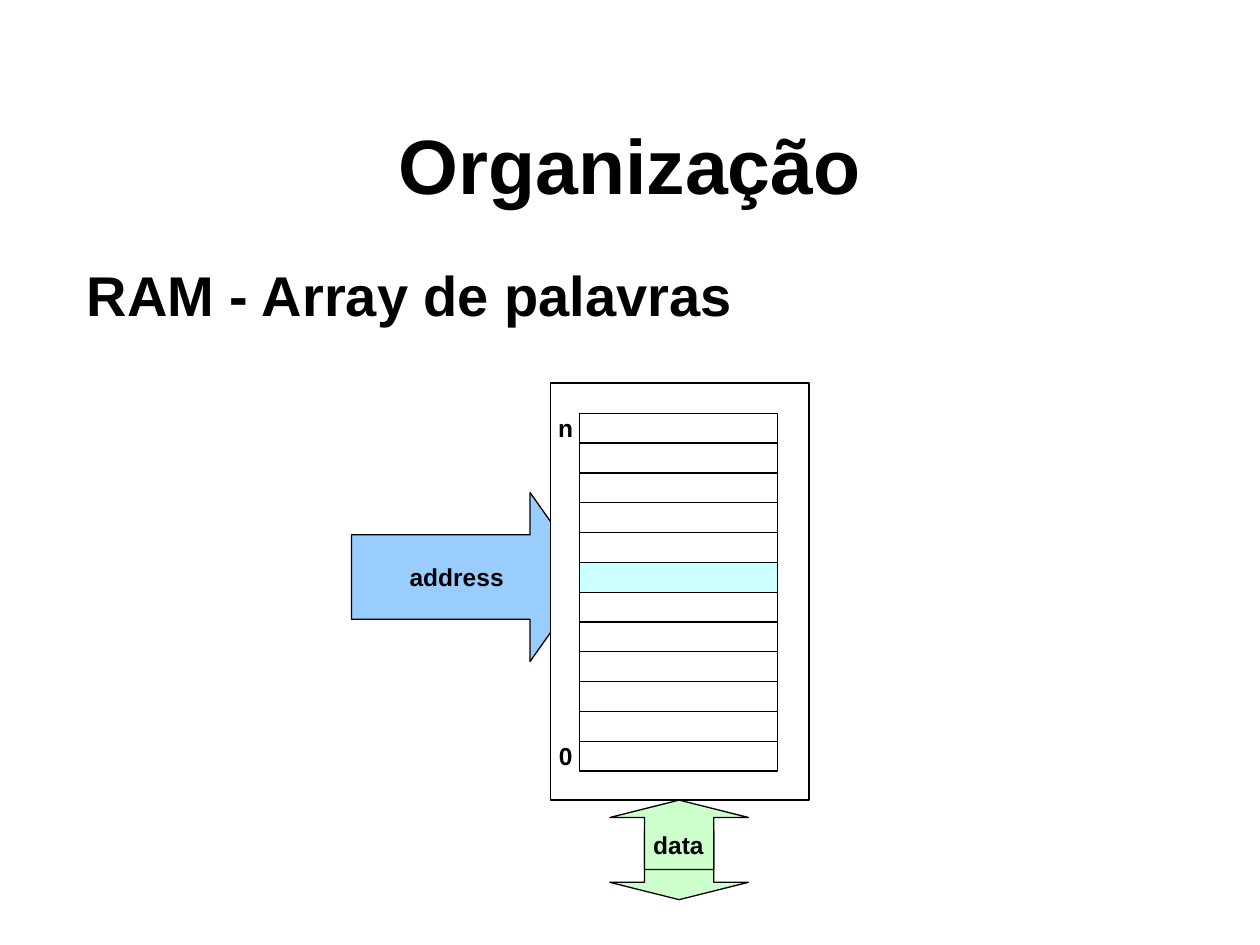
import pptx
import pptx.util
import pptx.dml.color
import pptx.enum.shapes
import pptx.enum.text
import pptx.oxml.ns
from pptx.util import Inches

SHAPES = pptx.enum.shapes.MSO_SHAPE
ALIGN = pptx.enum.text.PP_ALIGN
ANCHOR = pptx.enum.text.MSO_ANCHOR

THEME = {
    "font": "Arial",
    "ink": "000000", "paper": "FFFFFF",
    "address": "99CCFF", "data": "CCFFCC", "selected": "CCFFFF",
    "title": 44, "subtitle": 32, "label": 14,
    "line": 0.75,
}

# Memory words: the array is split into equal rows, counted from the top
WORD_COUNT = 12
SELECTED_WORD = 5
ARRAY_LEFT, ARRAY_TOP, ARRAY_WIDTH, ARRAY_HEIGHT = 4.6, 3.28, 1.57, 2.84
WORD_HEIGHT = ARRAY_HEIGHT / WORD_COUNT
LABEL_HEIGHT = 0.23


def word_top(row):
    return ARRAY_TOP + row * WORD_HEIGHT


# text, left, top, width, height
HEADINGS = [
    ("Organização", (0.75, 0.67, 8.5, 1.25), "title", ALIGN.CENTER, ANCHOR.MIDDLE),
    ("RAM - Array de palavras", (0.59, 2.02, 5.42, 0.64), "subtitle", ALIGN.LEFT, ANCHOR.TOP),
]
LABELS = [
    ("address", 3.19, 4.46, 0.87),
    ("n", 4.37, word_top(0), 0.24),
    ("0", 4.37, word_top(WORD_COUNT - 1), 0.24),
    ("data", 5.15, 6.59, 0.47),
]
# preset, box, fill, adjustments, rotation
BLOCKS = [
    (SHAPES.RIGHT_ARROW, (2.79, 3.91, 1.89, 1.34), "address", (0.5, 0.353), 0),
    (SHAPES.RECTANGLE, (4.37, 3.04, 2.05, 3.31), "paper", (), 0),
    (SHAPES.RECTANGLE, (ARRAY_LEFT, ARRAY_TOP, ARRAY_WIDTH, ARRAY_HEIGHT), "paper", (), 0),
    (SHAPES.RECTANGLE, (ARRAY_LEFT, word_top(SELECTED_WORD), ARRAY_WIDTH, WORD_HEIGHT),
     "selected", (), 0),
    (SHAPES.DOWN_ARROW, (4.84, 6.59, 1.1, 0.55), "data", (0.5, 0.25), 0),
    (SHAPES.DOWN_ARROW, (4.84, 6.35, 1.1, 0.55), "data", (0.5, 0.25), 180),
]


def color(role):
    return pptx.dml.color.RGBColor.from_string(THEME[role])


def style_line(line):
    line.color.rgb = color("ink")
    line.width = pptx.util.Pt(THEME["line"])


def add_block(slide, preset, box, fill, adjustments, rotation):
    block = slide.shapes.add_shape(preset, *map(Inches, box))
    block.shadow.inherit = False
    block.rotation = rotation
    block.fill.solid()
    block.fill.fore_color.rgb = color(fill)
    style_line(block.line)
    for index, value in enumerate(adjustments):
        block.adjustments[index] = value


def add_divider(slide, y):
    divider = slide.shapes.add_connector(
        pptx.enum.shapes.MSO_CONNECTOR.STRAIGHT,
        Inches(ARRAY_LEFT), Inches(y), Inches(ARRAY_LEFT + ARRAY_WIDTH), Inches(y))
    style_line(divider.line)
    properties = divider._element.spPr
    properties.append(properties.makeelement(pptx.oxml.ns.qn("a:effectLst"), {}))


def add_text(slide, text, box, size, align, anchor, margins):
    frame = slide.shapes.add_textbox(*map(Inches, box)).text_frame
    horizontal, vertical = map(Inches, margins)
    frame_format = {
        "word_wrap": True, "vertical_anchor": anchor,
        "margin_left": horizontal, "margin_right": horizontal,
        "margin_top": vertical, "margin_bottom": vertical,
    }
    for name, value in frame_format.items():
        setattr(frame, name, value)
    paragraph = frame.paragraphs[0]
    paragraph.alignment = align
    run = paragraph.add_run()
    run.text = text
    font_format = {"name": THEME["font"], "size": pptx.util.Pt(THEME[size]), "bold": True}
    for name, value in font_format.items():
        setattr(run.font, name, value)
    run.font.color.rgb = color("ink")


def main():
    deck = pptx.Presentation()
    deck.slide_width, deck.slide_height = Inches(10), Inches(7.5)
    slide = deck.slides.add_slide(deck.slide_layouts[6])
    for text, box, size, align, anchor in HEADINGS:
        add_text(slide, text, box, size, align, anchor, (0.1, 0.05))
    for block in BLOCKS:
        add_block(slide, *block)
    for row in range(1, WORD_COUNT):
        add_divider(slide, word_top(row))
    for text, left, top, width in LABELS:
        add_text(slide, text, (left, top, width, LABEL_HEIGHT), "label",
                 ALIGN.CENTER, ANCHOR.TOP, (0, 0))
    deck.save("out.pptx")


if __name__ == "__main__":
    main()
